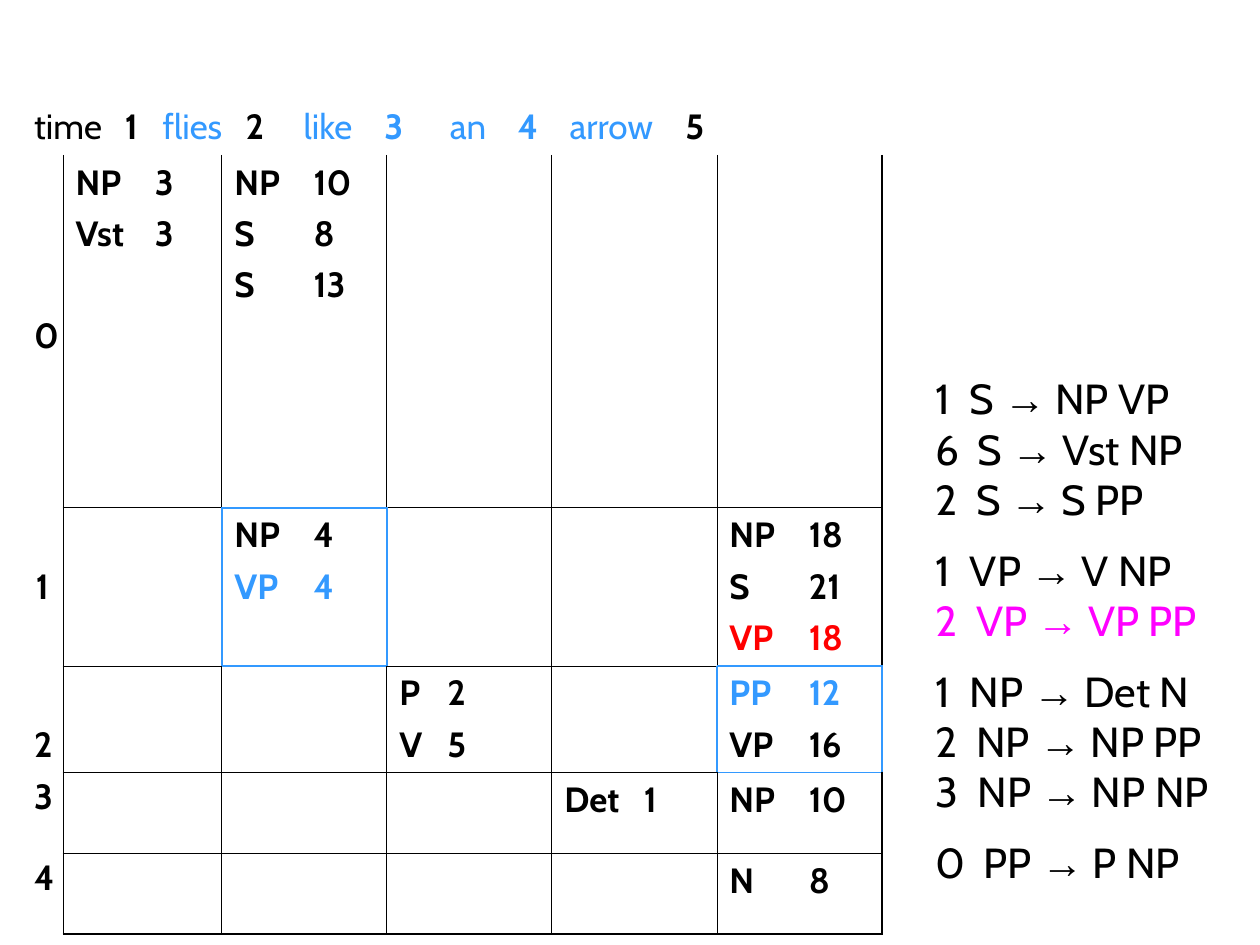
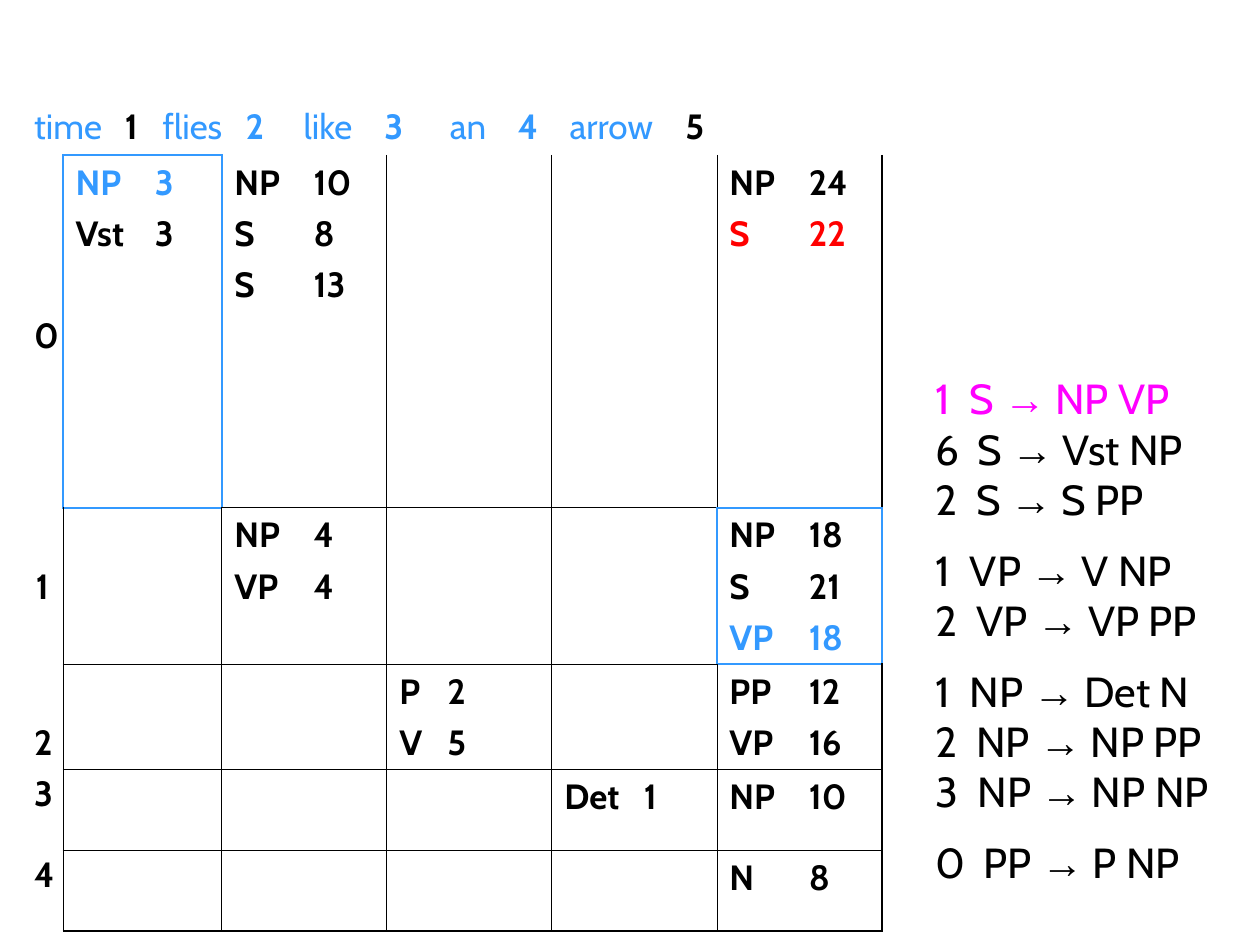
from lxml import etree
from pptx import Presentation
from pptx.dml.color import RGBColor
from pptx.enum.text import MSO_AUTO_SIZE, PP_ALIGN
from pptx.oxml.ns import qn
from pptx.util import Inches, Pt

CENTER = PP_ALIGN.CENTER
FIT_SHAPE = MSO_AUTO_SIZE.SHAPE_TO_FIT_TEXT
COLORS = {"black": "000000", "blue": "3399FF", "red": "FF0000", "magenta": "FF00FF"}
FONT, ARROW_FONT = "Cabin", "Arial"
THIN, THICK = 0.45, 1.08

# Column 0 holds the row labels, row 0 the sentence.
COLUMNS = [0.33, 1.26] + [1.31] * 4
ROWS = [0.44, 2.8, 1.24, 0.84, 0.64, 0.64]
SIDES = {"lnL": (0, -1), "lnR": (0, 1), "lnT": (-1, 0), "lnB": (1, 0)}

SENTENCE = ["time", "1", "flies", "2", "like", "3", "an", "4", "arrow", "5"]
SENTENCE_TABS = [0.72, 1.02, 1.68, 2.14, 2.78, 3.3, 3.84, 4.25, 5.17]
LABEL_SPACING = [1, 2.2, 2.2, 0.9, 0.9]
FIRST_LABEL_TOP = 1.27

CHART = {
    (1, 1): ["NP 3", "Vst 3"],
    (1, 2): ["NP 10", "S 8", "S 13"],
    (2, 2): ["NP 4", "VP 4"],
    (2, 5): ["NP 18", "S 21", "VP 18"],
    (3, 3): ["P 2", "V 5"],
    (3, 5): ["PP 12", "VP 16"],
    (4, 4): ["Det 1"],
    (4, 5): ["NP 10"],
    (5, 5): ["N 8"],
}
RULE_GROUPS = [
    ["1 S → NP VP", "6 S → Vst NP", "2 S → S PP"],
    ["1 VP → V NP", "2 VP → VP PP"],
    ["1 NP → Det N", "2 NP → NP PP", "3 NP → NP NP"],
    ["0 PP → P NP"],
]
RULE_TABS = {"0": 0.38, "1": 0.27, "2": 0.32, "3": 0.33, "6": 0.33}

STEPS = [
    {
        "entries": {},
        "colors": {(2, 2, "VP"): "blue", (2, 5, "VP"): "red", (3, 5, "PP"): "blue"},
        "sources": {(2, 2), (3, 5)},
        "black words": {"time", "1", "2", "5"},
        "rule": "2 VP → VP PP",
    },
    {
        "entries": {(1, 5): ["NP 24", "S 22"]},
        "colors": {(1, 1, "NP"): "blue", (1, 5, "S"): "red", (2, 5, "VP"): "blue"},
        "sources": {(1, 1), (2, 5)},
        "black words": {"1", "5"},
        "rule": "1 S → NP VP",
    },
]


def format_paragraph(paragraph, size, color="black", bold=None, tabs=()):
    """Set tab stops (inches) and the font that all runs of the paragraph share."""
    if tabs:
        tab_list = etree.SubElement(paragraph._p.get_or_add_pPr(), qn("a:tabLst"))
        for position in tabs:
            etree.SubElement(tab_list, qn("a:tab"), pos=str(Inches(position)), algn="l")
    paragraph.font.name = FONT
    paragraph.font.size = Pt(size)
    paragraph.font.bold = bold
    paragraph.font.color.rgb = RGBColor.from_string(COLORS[color])


def draw_borders(cell, place, sources):
    """Blue round the source cells, black inside the grid, thicker at its right and bottom."""
    row, column = place
    properties = cell._tc.get_or_add_tcPr()
    for side, (down, right) in SIDES.items():
        neighbour = (row + down, column + right)
        in_grid = [1 <= r <= 5 and 1 <= c <= 5 for r, c in (place, neighbour)]
        color, width = "black", THICK if max(neighbour) > 5 else THIN
        if sources & {place, neighbour}:
            color, width = "blue", THICK
        elif not any(in_grid) or {row, neighbour[0]} == {0, 1}:
            color = None
        line = etree.SubElement(properties, qn(f"a:{side}"), w=str(Pt(width)))
        if color:
            fill = etree.SubElement(line, qn("a:solidFill"))
            etree.SubElement(fill, qn("a:srgbClr"), val=COLORS[color])
        else:
            etree.SubElement(line, qn("a:noFill"))


presentation = Presentation()
presentation.slide_width, presentation.slide_height = Inches(10), Inches(7.5)
WIDTH, HEIGHT = presentation.slide_width, presentation.slide_height

for step in STEPS:
    slide = presentation.slides.add_slide(presentation.slide_layouts[6])

    # Parse chart
    table = slide.shapes.add_table(
        len(ROWS), len(COLUMNS), Inches(0.17), Inches(0.79),
        Inches(sum(COLUMNS)), Inches(sum(ROWS))).table
    table.first_row = table.horz_banding = False
    for column, width in zip(table.columns, COLUMNS):
        column.width = Inches(width)
    for row, height in zip(table.rows, ROWS):
        row.height = Inches(height)
    for row in range(len(ROWS)):
        for column in range(len(COLUMNS)):
            cell = table.cell(row, column)
            draw_borders(cell, (row, column), step["sources"])
            cell.fill.background()
    table.cell(0, 0).merge(table.cell(0, len(COLUMNS) - 1))

    # Sentence with its word positions
    paragraph = table.cell(0, 0).text_frame.paragraphs[0]
    format_paragraph(paragraph, 20, tabs=SENTENCE_TABS)
    for index, word in enumerate(SENTENCE):
        run = paragraph.add_run()
        run.text = "\t" + word if index else word
        run.font.bold = word.isdigit()
        color = "black" if word in step["black words"] else "blue"
        run.font.color.rgb = RGBColor.from_string(COLORS[color])

    # Row labels
    for index, spacing in enumerate(LABEL_SPACING):
        cell = table.cell(index + 1, 0)
        paragraph = cell.text_frame.paragraphs[0]
        paragraph.text = str(index)
        paragraph.alignment = CENTER
        paragraph.line_spacing = spacing
        format_paragraph(paragraph, 20, bold=True)
    table.cell(1, 0).margin_top = Inches(FIRST_LABEL_TOP)

    # Constituents and their weights
    for (row, column), entries in (CHART | step["entries"]).items():
        frame = table.cell(row, column).text_frame
        for index, entry in enumerate(entries):
            symbol, weight = entry.split()
            paragraph = frame.add_paragraph() if index else frame.paragraphs[0]
            paragraph.text = f"{symbol}\t{weight}"
            if index:
                paragraph.space_before = Pt(5)
            color = step["colors"].get((row, column, symbol), "black")
            format_paragraph(paragraph, 20, color, True, [0.38 if column == 3 else 0.63])

    # Grammar rules
    box = slide.shapes.add_textbox(
        int(WIDTH * 0.733), int(HEIGHT * 0.388), int(WIDTH * 0.267), int(HEIGHT * 0.557))
    frame = box.text_frame
    frame.word_wrap = True
    frame.auto_size = FIT_SHAPE
    for group_index, group in enumerate(RULE_GROUPS):
        for index, rule in enumerate(group):
            is_first = group_index == index == 0
            paragraph = frame.paragraphs[0] if is_first else frame.add_paragraph()
            if group_index and index == 0:
                paragraph.line_spacing = 1.4
            color = "magenta" if rule == step["rule"] else "black"
            format_paragraph(paragraph, 24, color, tabs=[RULE_TABS[rule[0]]])
            left, arrow, right = rule.replace(" ", "\t", 1).partition("→")
            for text, font in ((left, FONT), (arrow, ARROW_FONT), (right, FONT)):
                run = paragraph.add_run()
                run.text = text
                run.font.name = font

presentation.save("out.pptx")
